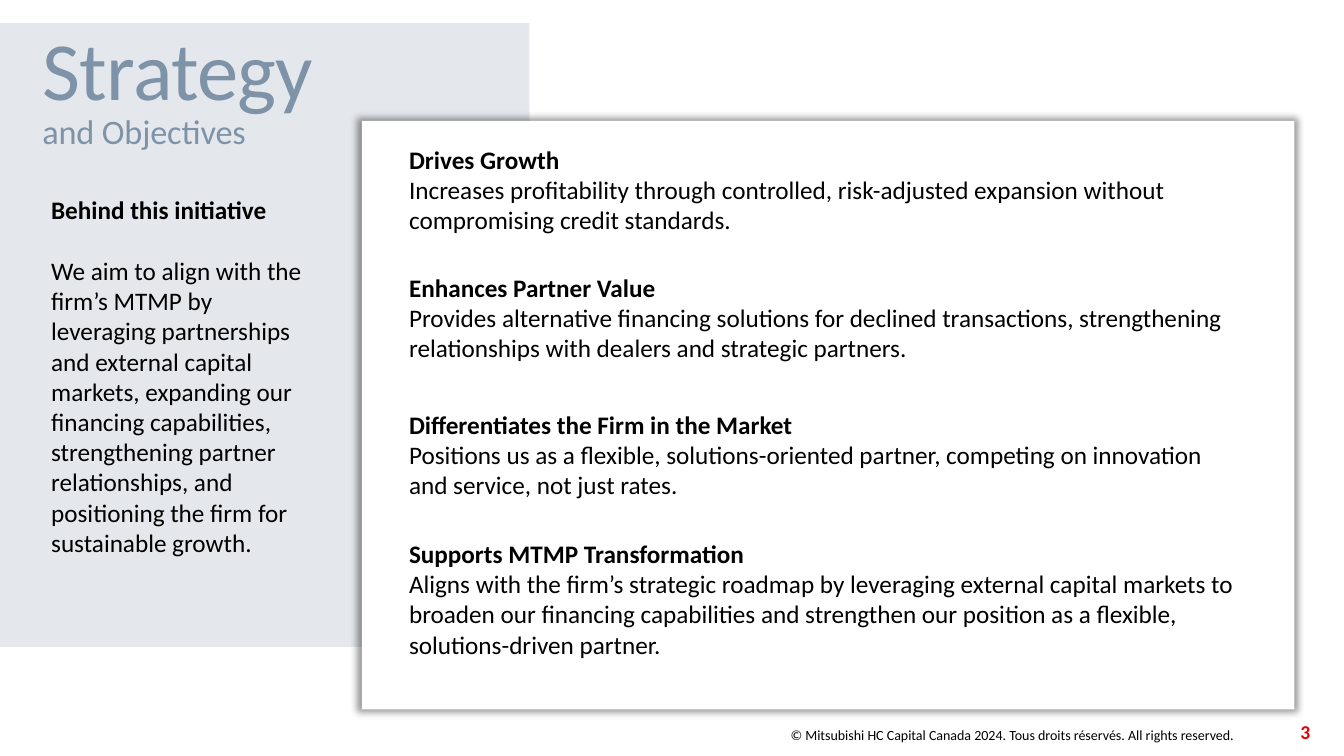
from lxml import etree
from pptx import Presentation
from pptx.dml.color import RGBColor
from pptx.enum import shapes, text
from pptx.oxml.ns import qn
from pptx.util import Cm, Pt

FONT = "Calibri"
BLACK, WHITE, RED, SLATE, MIST = "000000", "FFFFFF", "E60000", "7E93A7", "E4E8ED"

GOALS = [
    (0.46, 2.57, "Drives Growth",
     "Increases profitability through controlled, risk-adjusted expansion "
     "without compromising credit standards."),
    (3.68, 2.57, "Enhances Partner Value",
     "Provides alternative financing solutions for declined transactions, "
     "strengthening relationships with dealers and strategic partners."),
    (7.14, 2.57, "Differentiates the Firm in the Market",
     "Positions us as a flexible, solutions-oriented partner, competing on "
     "innovation and service, not just rates."),
    (10.39, 3.33, "Supports MTMP Transformation",
     "Aligns with the firm’s strategic roadmap by leveraging external capital "
     "markets to broaden our financing capabilities and strengthen our "
     "position as a flexible, solutions-driven partner."),
]
AIM = ("We aim to align with the firm’s MTMP by leveraging partnerships and "
       "external capital markets, expanding our financing capabilities, "
       "strengthening partner relationships, and positioning the firm for "
       "sustainable growth.")


def color(code):
    return RGBColor.from_string(code)


def block(slide, box, fill):
    rect = slide.shapes.add_shape(
        shapes.MSO_SHAPE.RECTANGLE, *[Cm(n) for n in box])
    rect.shadow.inherit = False
    rect.fill.solid()
    rect.fill.fore_color.rgb = color(fill)
    rect.line.fill.background()
    return rect


def glow(shape):
    """Spread a soft shadow evenly around the shape."""
    effects = shape._element.spPr.find(qn("a:effectLst"))
    shade = etree.SubElement(
        effects, qn("a:outerShdw"), blurRad=str(Pt(5)), sx="101000",
        sy="101000", algn="ctr", rotWithShape="0")
    tint = etree.SubElement(shade, qn("a:srgbClr"), val=BLACK)
    etree.SubElement(tint, qn("a:alpha"), val="40000")


def write(slide, box, lines, size, tone=BLACK, bold=False,
          anchor=text.MSO_ANCHOR.TOP, align=text.PP_ALIGN.LEFT):
    frame = slide.shapes.add_textbox(*[Cm(n) for n in box]).text_frame
    frame.word_wrap = True
    frame.vertical_anchor = anchor
    frame.text = "\n".join(lines)
    for para in frame.paragraphs:
        para.alignment = align
        for run in para.runs:
            run.font.name = FONT
            run.font.size = Pt(size)
            run.font.bold = bold
            run.font.color.rgb = color(tone)
    return frame


def topic(slide, box, head, body, gap=0):
    """Write a bold heading with its text below."""
    frame = write(slide, box, [head, body], 18)
    frame.auto_size = text.MSO_AUTO_SIZE.SHAPE_TO_FIT_TEXT
    first, second = frame.paragraphs
    first.runs[0].font.bold = True
    second.space_before = Pt(gap)


def title(slide, box, words, size, pitch, anchor):
    """Write a title line without insets, its letters set closer by pitch."""
    frame = write(slide, box, [words], size, SLATE, anchor=anchor)
    frame.margin_left = frame.margin_right = frame.margin_bottom = 0
    frame.margin_top = Cm(0.05)
    frame.paragraphs[0].runs[0].font._element.set("spc", str(pitch))


def panel(slide, left, top, width, height):
    block(slide, (left, top, width, height), MIST)
    title(slide, (left + 1.07, top - 0.2, 6.96, 2.59), "Strategy", 59, -50,
          text.MSO_ANCHOR.MIDDLE)
    title(slide, (left + 1.07, top + 2.16, 5.31, 1.12), "and Objectives",
          24.5, -10, text.MSO_ANCHOR.TOP)
    topic(slide, (left + 1.04, top + 4.2, 7.01, 9.5),
          "Behind this initiative", AIM, 21.6)


def card(slide, left, top, width, height):
    glow(block(slide, (left, top, width, height), WHITE))
    for drop, tall, head, body in GOALS:
        topic(slide, (left + 0.94, top + drop, width - 2.19, tall), head, body)


def footer(slide, left, top, width, height):
    style = dict(anchor=text.MSO_ANCHOR.BOTTOM, align=text.PP_ALIGN.RIGHT)
    write(slide, (left, top, width - 1.93, height),
          ["© Mitsubishi HC Capital Canada 2024. Tous droits réservés. "
           "All rights reserved."], 10, **style)
    write(slide, (left + width - 1.9, top, 1.9, height), ["3"], 14, RED,
          True, **style)


def main():
    deck = Presentation()
    deck.slide_width, deck.slide_height = Cm(33.87), Cm(19.05)
    slide = deck.slides.add_slide(deck.slide_layouts[6])
    panel(slide, 0, 0.58, 13.34, 15.72)
    card(slide, 9.12, 3.05, 23.5, 14.83)
    footer(slide, 15.57, 17.83, 17.7, 1.02)
    deck.save("out.pptx")


if __name__ == "__main__":
    main()
